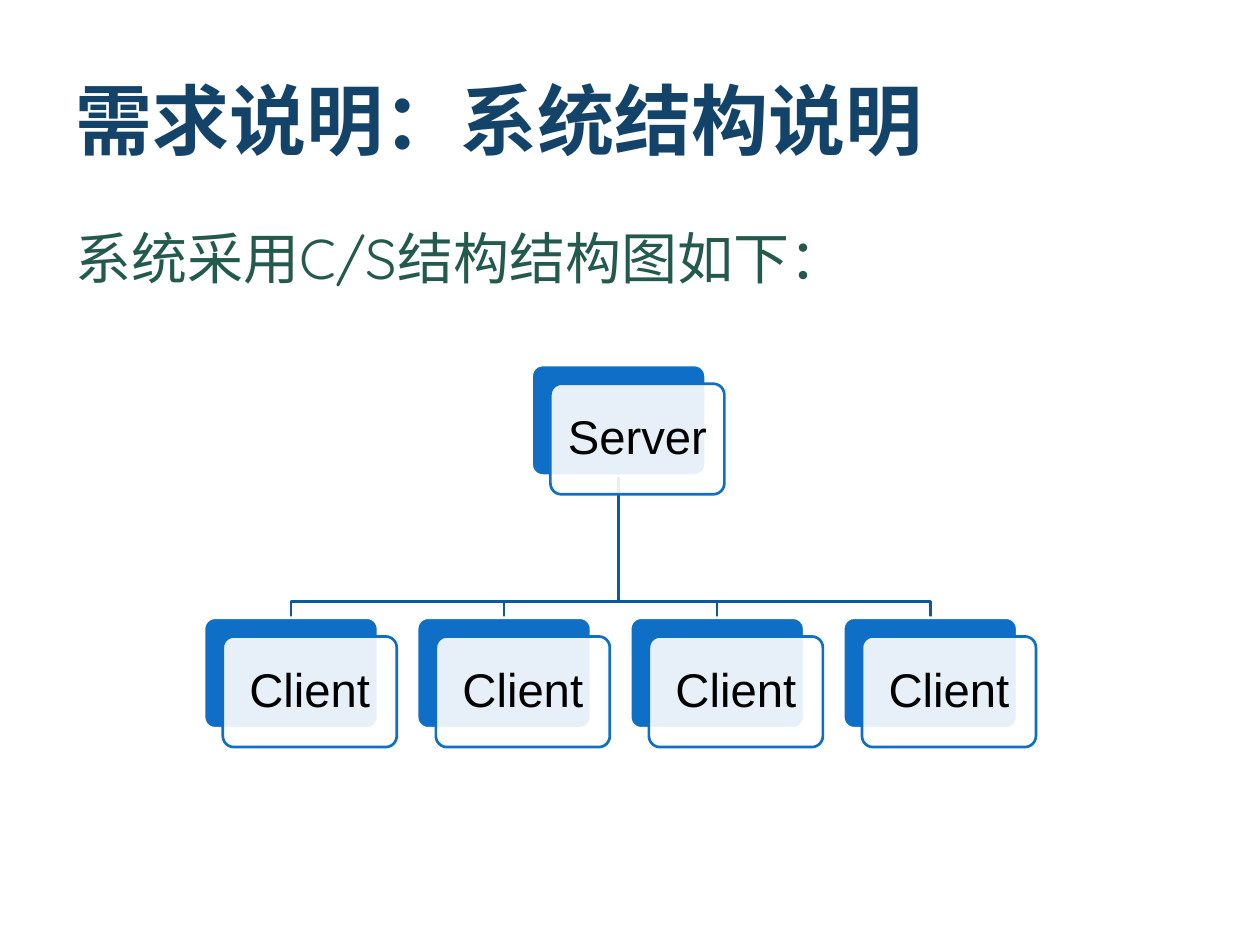
import dataclasses

import pptx
import pptx.dml.color
import pptx.enum.shapes
import pptx.enum.text
import pptx.oxml
import pptx.oxml.ns
import pptx.util

Pt = pptx.util.Pt


@dataclasses.dataclass(frozen=True)
class Theme:
    title_color: str = "14436A"
    body_color: str = "245A4D"
    node_color: str = "0F6FC6"
    link_color: str = "0C599F"
    card_color: str = "FFFFFF"
    label_color: str = "000000"
    heading_font: str = "Quicksand"
    label_font: str = "Arial"
    title_size: float = 44
    body_size: float = 32
    label_size: float = 27
    line_width: float = 1.54


THEME = Theme()
NODE_WIDTH, NODE_HEIGHT = 99.4, 63.2
CARD_SHIFT = 10.7
SERVER_LEFT, SERVER_TOP = 303.8, 208.6
CLIENT_LEFT, CLIENT_TOP = 116.6, 353
CLIENT_STEP = 121.75
CLIENT_COUNT = 4
BUS_TOP = 343.6


def rgb(value):
    return pptx.dml.color.RGBColor.from_string(value)


def add_run(paragraph, text, font_name, size, color, bold=False):
    run = paragraph.add_run()
    run.text = text
    run.font.name = font_name
    run.font.size = Pt(size)
    run.font.bold = bold
    run.font.color.rgb = rgb(color)


def fill_placeholder(placeholder, box, text, size, color, bold, anchor):
    placeholder.left, placeholder.top, placeholder.width, placeholder.height = map(Pt, box)
    frame = placeholder.text_frame
    frame.word_wrap = True
    frame.auto_size = pptx.enum.text.MSO_AUTO_SIZE.NONE
    frame.vertical_anchor = anchor
    paragraph = frame.paragraphs[0]
    paragraph.alignment = pptx.enum.text.PP_ALIGN.LEFT
    paragraph.space_before = Pt(0)
    properties = paragraph._p.get_or_add_pPr()
    properties.set("marL", "0")
    properties.set("indent", "0")
    properties.append(pptx.oxml.parse_xml(f"<a:buNone {pptx.oxml.ns.nsdecls('a')}/>"))
    add_run(paragraph, text, THEME.heading_font, size, color, bold)


def add_link(slide, start, end):
    (start_x, start_y), (end_x, end_y) = start, end
    builder = slide.shapes.build_freeform(Pt(start_x), Pt(start_y))
    corners = [(start_x, BUS_TOP), (end_x, BUS_TOP), (end_x, end_y)]
    builder.add_line_segments([(Pt(x), Pt(y)) for x, y in corners], close=False)
    shape = builder.convert_to_shape()
    shape.shadow.inherit = False
    shape.fill.background()
    shape.line.color.rgb = rgb(THEME.link_color)
    shape.line.width = Pt(THEME.line_width)


def add_rounded_box(slide, left, top, fill_color, line_color):
    shape = slide.shapes.add_shape(
        pptx.enum.shapes.MSO_SHAPE.ROUNDED_RECTANGLE,
        Pt(left), Pt(top), Pt(NODE_WIDTH), Pt(NODE_HEIGHT),
    )
    shape.adjustments[0] = 0.1
    shape.shadow.inherit = False
    shape.fill.solid()
    shape.fill.fore_color.rgb = rgb(fill_color)
    shape.line.color.rgb = rgb(line_color)
    shape.line.width = Pt(THEME.line_width)
    return shape


def set_opacity(shape, percent):
    color = shape._element.spPr.find(
        "/".join(map(pptx.oxml.ns.qn, ("a:solidFill", "a:srgbClr")))
    )
    color.append(pptx.oxml.parse_xml(
        f'<a:alpha {pptx.oxml.ns.nsdecls("a")} val="{percent * 1000}"/>'
    ))


def add_node(slide, left, top, label):
    add_rounded_box(slide, left, top, THEME.node_color, THEME.card_color)
    card = add_rounded_box(
        slide, left + CARD_SHIFT, top + CARD_SHIFT, THEME.card_color, THEME.node_color
    )
    set_opacity(card, 90)
    frame = card.text_frame
    frame.word_wrap = True
    frame.vertical_anchor = pptx.enum.text.MSO_ANCHOR.MIDDLE
    frame.margin_left = frame.margin_right = Pt(4)
    frame.margin_top = frame.margin_bottom = Pt(4)
    paragraph = frame.paragraphs[0]
    paragraph.alignment = pptx.enum.text.PP_ALIGN.CENTER
    paragraph.line_spacing = 0.9
    add_run(paragraph, label, THEME.label_font, THEME.label_size, THEME.label_color)


def add_structure(slide):
    client_lefts = [CLIENT_LEFT + index * CLIENT_STEP for index in range(CLIENT_COUNT)]
    server_exit = (SERVER_LEFT + NODE_WIDTH / 2, SERVER_TOP + NODE_HEIGHT)
    for left in client_lefts:
        add_link(slide, server_exit, (left + NODE_WIDTH / 2, CLIENT_TOP))
    add_node(slide, SERVER_LEFT, SERVER_TOP, "Server")
    for left in client_lefts:
        add_node(slide, left, CLIENT_TOP, "Client")


def main():
    presentation = pptx.Presentation()
    presentation.slide_width, presentation.slide_height = Pt(720), Pt(540)
    slide = presentation.slides.add_slide(presentation.slide_layouts[1])
    fill_placeholder(
        slide.shapes.title, (36, 30, 648, 76), "需求说明：系统结构说明",
        THEME.title_size, THEME.title_color, True, pptx.enum.text.MSO_ANCHOR.MIDDLE,
    )
    fill_placeholder(
        slide.placeholders[1], (36, 124, 630, 48), "系统采用C/S结构结构图如下：",
        THEME.body_size, THEME.body_color, False, pptx.enum.text.MSO_ANCHOR.TOP,
    )
    add_structure(slide)
    presentation.save("out.pptx")


if __name__ == "__main__":
    main()
